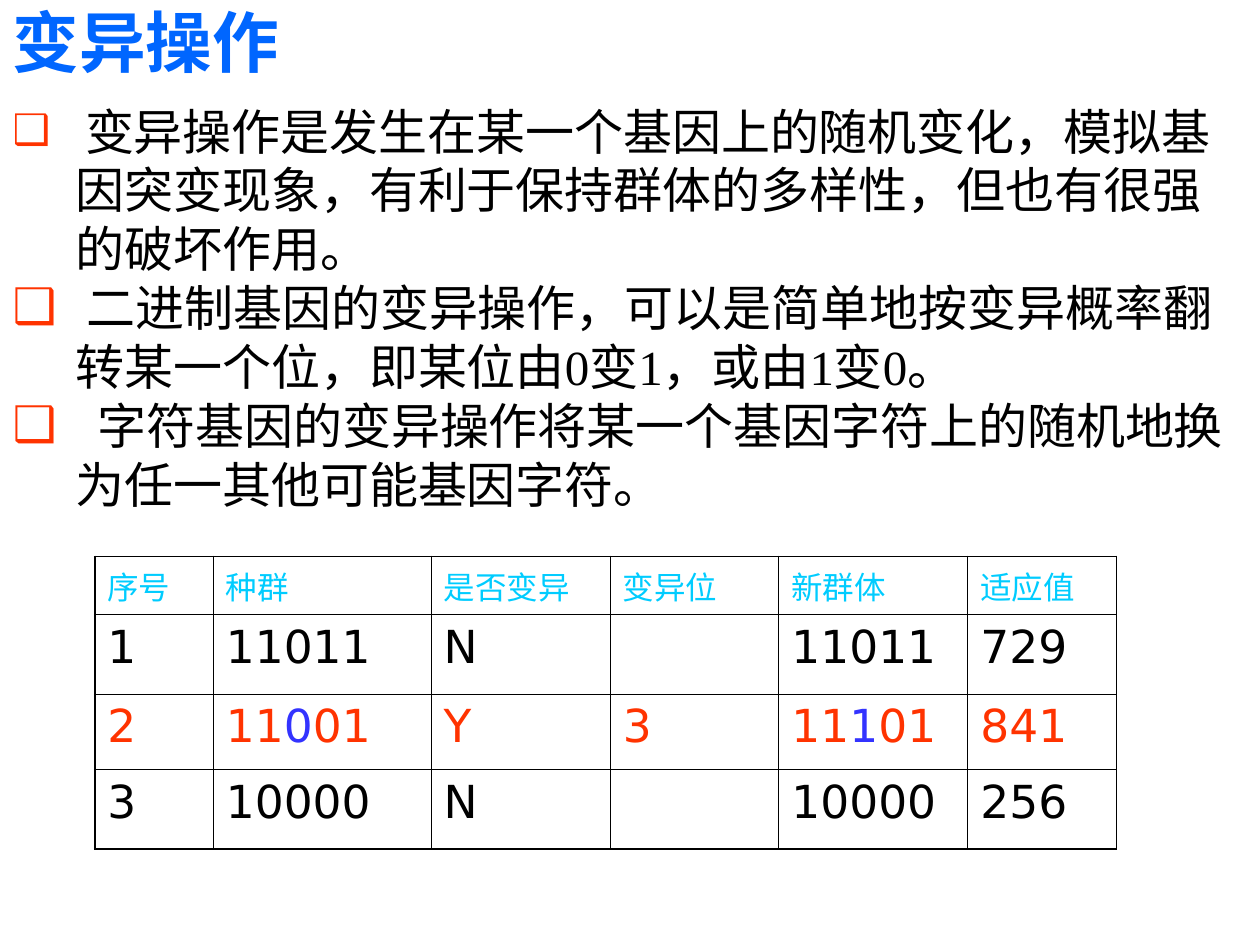
"""Build the slide on the mutation operator, with its bullet list and example table."""
from lxml.etree import SubElement
from pptx import Presentation
from pptx.dml.color import RGBColor
from pptx.enum.text import MSO_ANCHOR as Anchor, MSO_AUTO_SIZE as AutoSize, PP_ALIGN as Align
from pptx.oxml.ns import qn
from pptx.util import Cm, Pt

BLUE = RGBColor(0x00, 0x66, 0xFF)
CYAN = RGBColor(0x00, 0xCC, 0xFF)
RED = RGBColor(0xFF, 0x33, 0x00)
VIOLET = RGBColor(0x33, 0x33, 0xFF)
BLACK = RGBColor(0x00, 0x00, 0x00)

HEADING = "变异操作"
POINTS = [
    [(" ", 24), ("变异操作是发生在某一个基因上的随机变化，模拟基因突变现象，有利于保持群体的多样性，但也有很强的破坏作用。", 28)],
    [(" 二进制基因的变异操作，可以是简单地按变异概率翻转某一个位，即某位由0变1，或由1变0。", 28)],
    [("  字符基因的变异操作将某一个基因字符上的随机地换为任一其他可能基因字符。", 28)],
]
HEADERS = ["序号", "种群", "是否变异", "变异位", "新群体", "适应值"]
POPULATION = [
    ["1", "11011", "N", "", "11011", "729"],
    ["2", ("11", "0", "01"), "Y", "3", ("11", "1", "01"), "841"],
    ["3", "10000", "N", "", "10000", "256"],
]
COLUMN_WIDTHS = [2.39, 4.39, 3.61, 3.4, 3.81, 3.0]
ROW_HEIGHTS = [1.17, 1.6, 1.52, 1.6]
OUTER_LINE, INNER_LINE = Pt(1.08), Pt(0.45)

TITLE_FORMAT = {"name": "DejaVu Sans", "size": Pt(38), "bold": True}
POINT_FORMAT = {"name": "Times New Roman"}
HEADER_FORMAT = {"name": "DejaVu Sans", "size": Pt(18), "bold": False}
VALUE_FORMAT = {"name": "DejaVu Sans", "size": Pt(26), "bold": False}


def add_run(paragraph, text, color, values):
    run = paragraph.add_run()
    run.text = text
    run.font.color.rgb = color
    for attribute, value in values.items():
        setattr(run.font, attribute, value)


def place(placeholder, left, top, width, height, anchor):
    placeholder.left, placeholder.top = Cm(left), Cm(top)
    placeholder.width, placeholder.height = Cm(width), Cm(height)
    frame = placeholder.text_frame
    frame.auto_size = AutoSize.NONE
    frame.vertical_anchor = anchor
    return frame


def set_bullet(paragraph):
    props = paragraph._p.get_or_add_pPr()
    props.set("marL", str(Cm(1.27)))
    props.set("indent", str(-Cm(1.27)))
    bullet_color = SubElement(props, qn("a:buClr"))
    SubElement(bullet_color, qn("a:srgbClr"), val=str(RED))
    SubElement(props, qn("a:buChar"), char="❑")


def set_borders(cell, widths):
    props = cell._tc.get_or_add_tcPr()
    for side, width in widths.items():
        line = SubElement(props, qn(f"a:ln{side}"), w=str(width))
        fill = SubElement(line, qn("a:solidFill"))
        SubElement(fill, qn("a:srgbClr"), val=str(BLACK))


def fill_cell(cell, content, row):
    paragraph = cell.text_frame.paragraphs[0]
    values = VALUE_FORMAT if row else HEADER_FORMAT
    color = [CYAN, BLACK, RED, BLACK][row]
    parts = content if isinstance(content, tuple) else (content,)
    for index, part in enumerate(parts):
        if part:
            add_run(paragraph, part, VIOLET if index == 1 else color, values)


def add_population_table(slide):
    rows = [HEADERS] + POPULATION
    last_row, last_column = len(rows) - 1, len(HEADERS) - 1
    table = slide.shapes.add_table(
        len(rows), len(HEADERS), Cm(1.91), Cm(11.22),
        Cm(sum(COLUMN_WIDTHS)), Cm(sum(ROW_HEIGHTS))).table
    table.first_row = table.horz_banding = False
    for column, width in zip(table.columns, COLUMN_WIDTHS):
        column.width = Cm(width)
    for row, height in zip(table.rows, ROW_HEIGHTS):
        row.height = Cm(height)
    for r, contents in enumerate(rows):
        for c, content in enumerate(contents):
            cell = table.cell(r, c)
            edges = {"L": c == 0, "R": c == last_column, "T": r == 0, "B": r == last_row}
            set_borders(cell, {side: OUTER_LINE if outer else INNER_LINE
                               for side, outer in edges.items()})
            cell.fill.background()
            fill_cell(cell, content, r)


def main():
    deck = Presentation()
    deck.slide_width, deck.slide_height = Cm(25.4), Cm(19.05)
    slide = deck.slides.add_slide(deck.slide_layouts[1])
    title, body = slide.placeholders

    heading = place(title, 0, 0, 21.79, 1.75, Anchor.BOTTOM).paragraphs[0]
    heading.alignment = Align.LEFT
    add_run(heading, HEADING, BLUE, TITLE_FORMAT)

    points = place(body, 0, 1.91, 25.4, 17.14, Anchor.TOP)
    for index, runs in enumerate(POINTS):
        point = points.add_paragraph() if index else points.paragraphs[0]
        point.space_before = Pt(0)
        set_bullet(point)
        for text, size in runs:
            add_run(point, text, BLACK, {**POINT_FORMAT, "size": Pt(size)})

    add_population_table(slide)
    deck.save("out.pptx")


if __name__ == "__main__":
    main()
